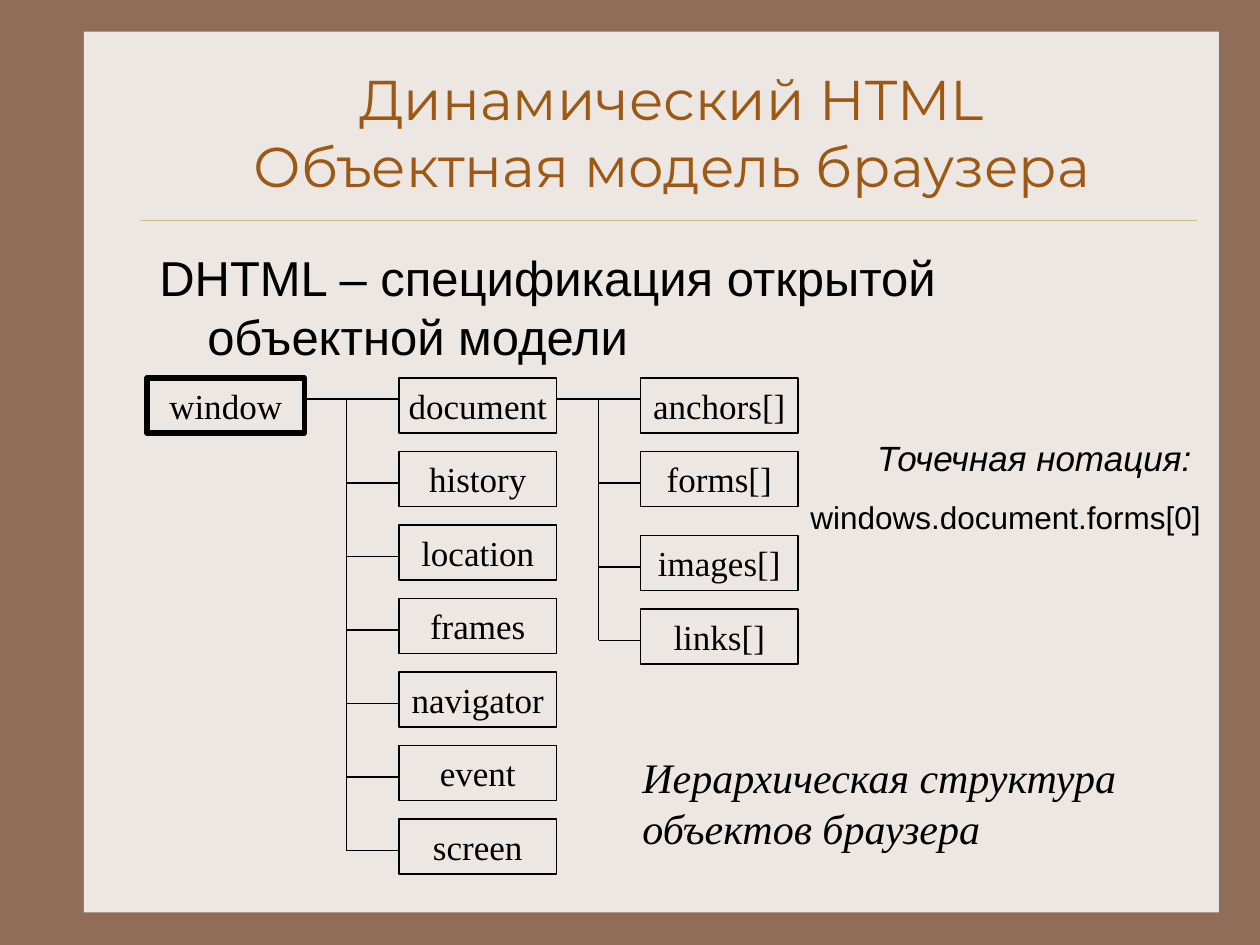
from dataclasses import dataclass

from lxml import etree
from pptx import Presentation
from pptx.dml.color import RGBColor
from pptx.enum.shapes import MSO_CONNECTOR, MSO_SHAPE
from pptx.enum.text import MSO_ANCHOR, MSO_AUTO_SIZE, PP_ALIGN
from pptx.oxml.ns import qn
from pptx.util import Inches, Pt

BROWN = RGBColor(0x90, 0x6D, 0x58)
PAPER = RGBColor(0xED, 0xE7, 0xE3)
GOLD = RGBColor(0xCB, 0xBD, 0x83)
RUST = RGBColor(0x9D, 0x58, 0x13)
BLACK = RGBColor(0, 0, 0)

RECT = MSO_SHAPE.RECTANGLE
STRAIGHT = MSO_CONNECTOR.STRAIGHT
LEFT, CENTER = PP_ALIGN.LEFT, PP_ALIGN.CENTER
TOP, MIDDLE = MSO_ANCHOR.TOP, MSO_ANCHOR.MIDDLE
GROW, FIXED = MSO_AUTO_SIZE.SHAPE_TO_FIT_TEXT, MSO_AUTO_SIZE.NONE

CELL = Inches(1) / 12
BOX_W, BOX_H = 15, 5.25
PITCH = 7
TREE_TOP = 36
TRUNK_TOP = TREE_TOP + 2
TICK = 3


@dataclass
class Para:
    lines: tuple[str, ...]
    size: float
    font: str
    color: RGBColor = BLACK
    italic: bool = False
    align: PP_ALIGN = LEFT
    before: float = 0
    hanging: float = 0


@dataclass
class TextBlock:
    col: float
    row: float
    cols: float
    rows: float
    paras: tuple[Para, ...]
    anchor: MSO_ANCHOR = TOP
    auto_size: MSO_AUTO_SIZE = GROW


@dataclass
class Node:
    name: str
    row: float
    inset: float = 0.1
    weight: float = 0.75


@dataclass
class Branch:
    parent_right: float
    trunk: float
    col: float
    nodes: tuple[Node, ...]


def cells(*counts: float) -> list[int]:
    return [round(n * CELL) for n in counts]


def write(tf, paras: tuple[Para, ...], inset: float = 0.1) -> None:
    tf.word_wrap = True
    tf.margin_left = tf.margin_right = Inches(inset)
    tf.margin_top = tf.margin_bottom = Inches(0.05)
    for i, para in enumerate(paras):
        p = tf.add_paragraph() if i else tf.paragraphs[0]
        p.alignment = para.align
        p.space_before = Pt(para.before)
        if para.hanging:
            pPr = p._p.get_or_add_pPr()
            pPr.set("marL", str(Inches(para.hanging)))
            pPr.set("indent", str(-Inches(para.hanging)))
        for j, line in enumerate(para.lines):
            if j:
                p.add_line_break()
            r = p.add_run()
            r.text = line
            r.font.size = Pt(para.size)
            r.font.name = para.font
            r.font.italic = para.italic
            r.font.color.rgb = para.color


def draw_text(s, block: TextBlock) -> None:
    tf = s.shapes.add_textbox(*cells(block.col, block.row, block.cols, block.rows)).text_frame
    tf.vertical_anchor = block.anchor
    tf.auto_size = block.auto_size
    write(tf, block.paras)


def draw_line(s, x1: float, y1: float, x2: float, y2: float,
              color: RGBColor = BLACK, weight: float = 0.75) -> None:
    cx = s.shapes.add_connector(STRAIGHT, *cells(x1, y1, x2, y2))
    cx.line.color.rgb = color
    cx.line.width = Pt(weight)
    etree.SubElement(cx._element.spPr, qn("a:effectLst"))


def draw_node(s, col: float, node: Node) -> None:
    sp = s.shapes.add_shape(RECT, *cells(col, node.row, BOX_W, BOX_H))
    sp.shadow.inherit = False
    sp.fill.background()
    sp.line.color.rgb = BLACK
    sp.line.width = Pt(node.weight)
    tf = sp.text_frame
    tf.vertical_anchor = TOP
    tf.auto_size = GROW
    label = Para((node.name,), 20, "Times New Roman", align=CENTER, before=12.5)
    write(tf, (label,), node.inset)


def draw_branch(s, branch: Branch) -> None:
    for node in branch.nodes:
        draw_node(s, branch.col, node)
    draw_line(s, branch.parent_right, TRUNK_TOP, branch.col, TRUNK_TOP)
    draw_line(s, branch.trunk, TRUNK_TOP, branch.trunk, branch.nodes[-1].row + TICK)
    for node in branch.nodes[1:]:
        draw_line(s, branch.trunk, node.row + TICK, branch.col, node.row + TICK)


WINDOW_COL, OBJECT_COL, ARRAY_COL = 14, 38, 61
OBJECTS = ("document", "history", "location", "frames", "navigator", "event", "screen")
ARRAYS = (("anchors[]", 0), ("forms[]", 7), ("images[]", 15), ("links[]", 22))
TIGHT = ("document", "navigator")

BRANCHES = (
    Branch(WINDOW_COL + BOX_W, 33, OBJECT_COL,
           tuple(Node(name, TREE_TOP + i * PITCH, 0 if name in TIGHT else 0.1)
                 for i, name in enumerate(OBJECTS))),
    Branch(OBJECT_COL + BOX_W, 57, ARRAY_COL,
           tuple(Node(name, TREE_TOP + offset, 0) for name, offset in ARRAYS)),
)

TEXTS = (
    TextBlock(14, 5, 100, 15, (
        Para(("Динамический HTML", "Объектная модель браузера"), 32, "Montserrat",
             RUST, align=CENTER),), MIDDLE, FIXED),
    TextBlock(14, 23, 99, 54, (
        Para(("DHTML – спецификация открытой объектной модели",), 28, "Arial",
             before=7, hanging=0.38),), TOP, FIXED),
    TextBlock(60, 71, 52, 10.8, (
        Para(("Иерархическая структура объектов браузера",), 24, "Times New Roman",
             italic=True, before=15),)),
    TextBlock(76, 41, 45, 10.7, (
        Para(("Точечная нотация:",), 20, "Arial", italic=True, align=CENTER, before=12.5),
        Para(("windows.document.forms[0]",), 18, "Arial", before=11.2))),
)


def main() -> None:
    prs = Presentation()
    prs.slide_width, prs.slide_height = Inches(10), Inches(7.5)
    s = prs.slides.add_slide(prs.slide_layouts[6])
    s.background.fill.solid()
    s.background.fill.fore_color.rgb = BROWN

    sheet = s.shapes.add_shape(RECT, *cells(8, 3, 108.1, 83.9))
    sheet.shadow.inherit = False
    sheet.fill.solid()
    sheet.fill.fore_color.rgb = PAPER
    sheet.line.fill.background()
    draw_line(s, 13.3, 21, 114, 21, GOLD, 0.25)

    for block in TEXTS:
        draw_text(s, block)
    draw_node(s, WINDOW_COL, Node("window", TREE_TOP, weight=3))
    for branch in BRANCHES:
        draw_branch(s, branch)
    prs.save("out.pptx")


if __name__ == "__main__":
    main()
